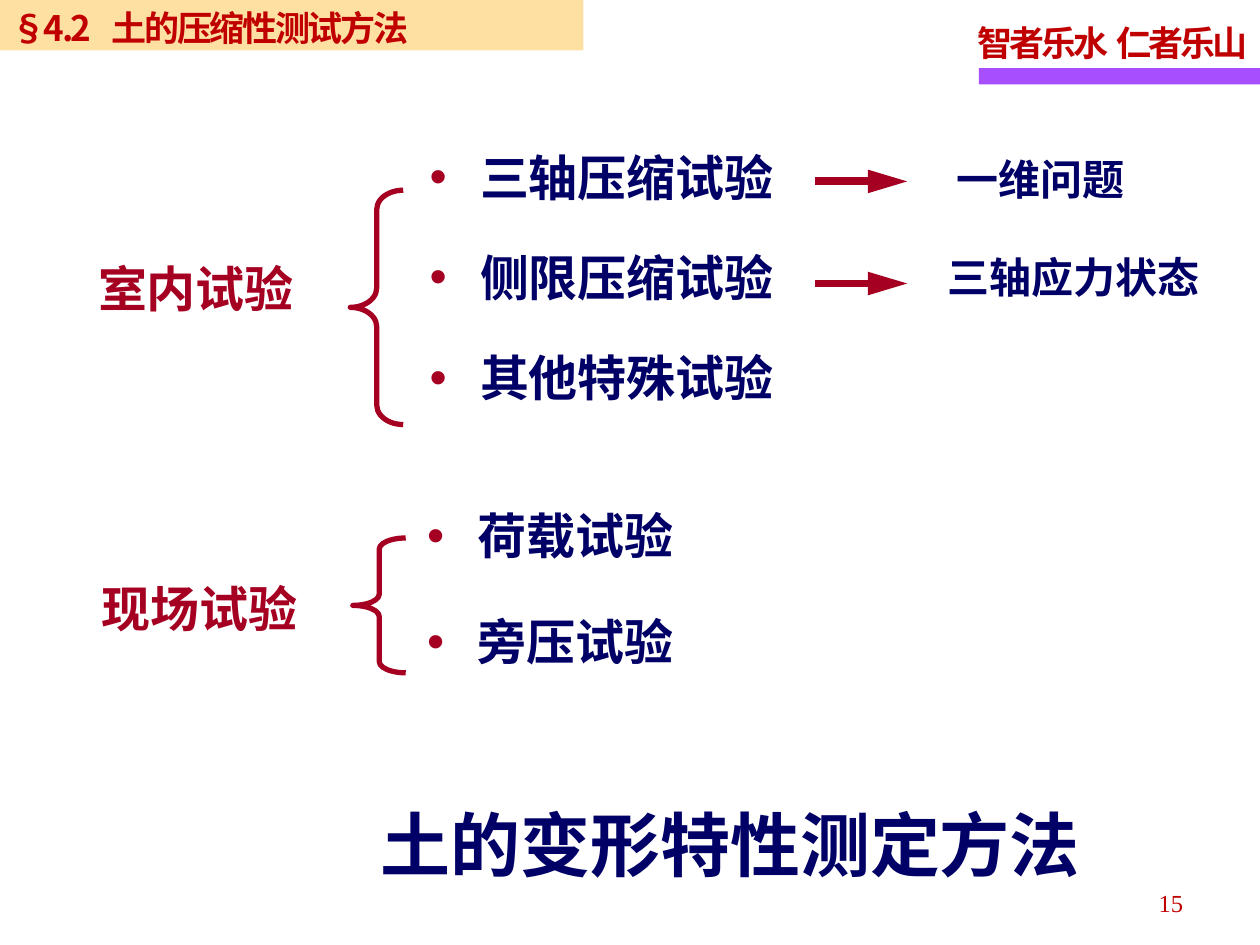
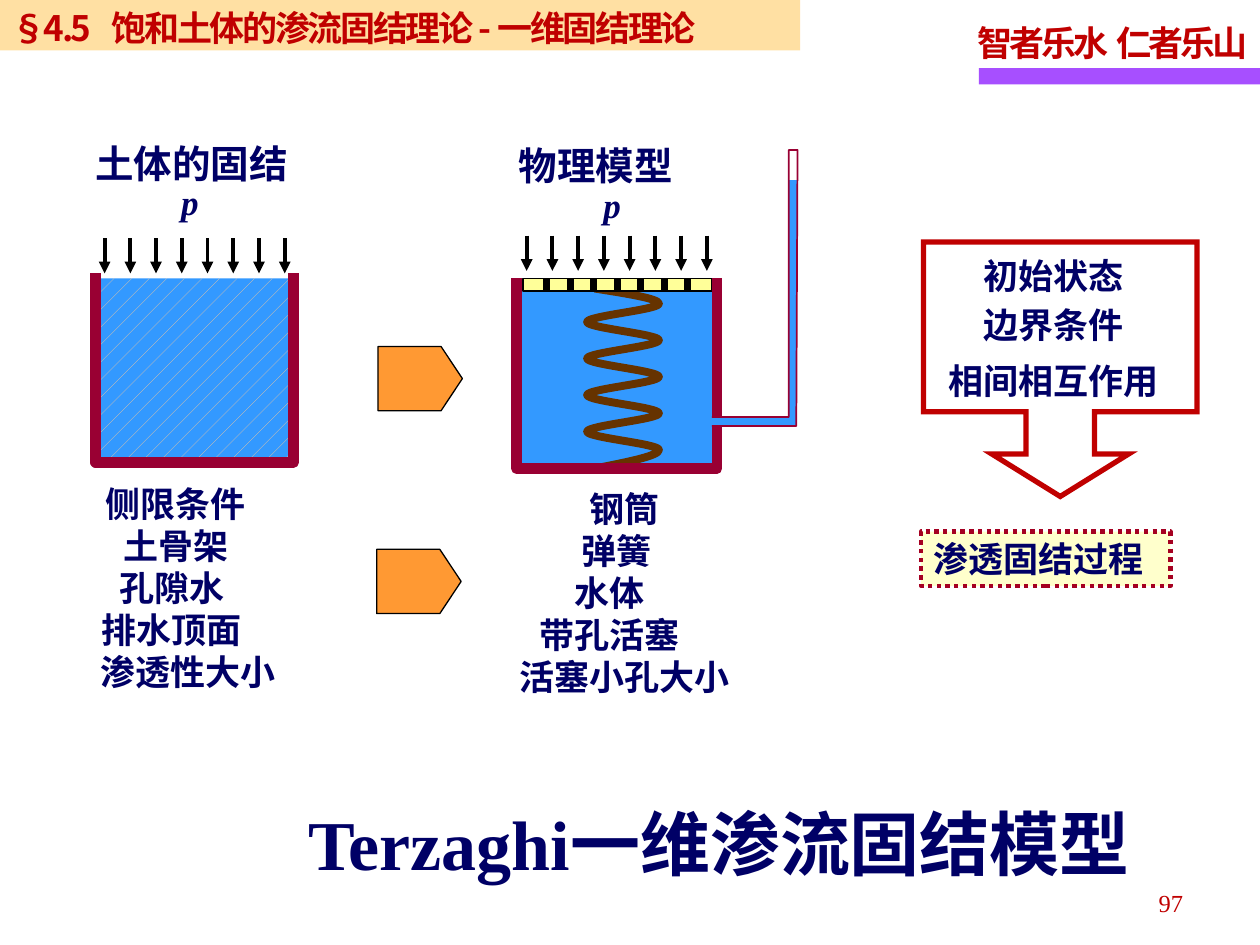
"""Build two soil mechanics slides: test methods and the Terzaghi consolidation model."""
import lxml.etree
import pptx
import pptx.dml.color
import pptx.enum.dml
import pptx.enum.shapes
import pptx.enum.text
import pptx.oxml.ns
import pptx.util

Inches = pptx.util.Inches
Pt = pptx.util.Pt
SHAPE = pptx.enum.shapes.MSO_SHAPE
ALIGN = pptx.enum.text.PP_ALIGN
qn = pptx.oxml.ns.qn

COLORS = {
    "navy": "000066", "crimson": "A50021", "red": "C00000", "purple": "A74FFF",
    "band": "FFCC66", "cream": "FFFFCC", "piston": "FFFF99", "water": "3399FF",
    "grain": "FFCC99", "wall": "990033", "spring": "663300", "orange": "FF9933",
    "black": "000000",
}
SERIF = "Times New Roman"
SANS = "Noto Sans CJK SC"
LINE_HEIGHT = 1.2


def rgb(name):
    return pptx.dml.color.RGBColor.from_string(COLORS[name])


def add_xml(parent, tag, **attrs):
    return lxml.etree.SubElement(parent, qn(tag), **attrs)


def box(left, top, width, height):
    return [Inches(v) for v in (left, top, width, height)]


def place(sp, at):
    sp.left, sp.top, sp.width, sp.height = box(*at)


def setup_frame(tf, inset=True, wrap=True):
    tf.word_wrap = wrap
    tf.auto_size = pptx.enum.text.MSO_AUTO_SIZE.NONE
    tf.vertical_anchor = pptx.enum.text.MSO_ANCHOR.TOP
    tf.margin_left = tf.margin_right = Inches(0.1 if inset else 0)
    tf.margin_top = tf.margin_bottom = Inches(0.05 if inset else 0)


def format_paragraph(p, size, color="navy", font=SERIF, bold=True, italic=False,
                     align=ALIGN.LEFT, spacing=0, pitch=None):
    p.alignment = align
    p.line_spacing = Pt(pitch or size * LINE_HEIGHT)
    p.space_before = p.space_after = Pt(0)
    for r in p.runs:
        r.font.size, r.font.name = Pt(size), font
        r.font.bold, r.font.italic = bold, italic
        r.font.color.rgb = rgb(color)
        if spacing:
            r._r.get_or_add_rPr().set("spc", str(round(spacing * 100)))


def add_tab(p, position):
    tabs = add_xml(p._p.get_or_add_pPr(), "a:tabLst")
    add_xml(tabs, "a:tab", pos=str(Inches(position)), algn="l")


def add_text(s, text, at, size, inset=True, wrap=True, **style):
    sp = s.shapes.add_textbox(*box(*at))
    setup_frame(sp.text_frame, inset, wrap)
    sp.text_frame.text = text
    format_paragraph(sp.text_frame.paragraphs[0], size, **style)
    return sp


def style_line(line, color, width):
    line.color.rgb = rgb(color)
    line.width = Pt(width)


def style_shape(sp, fill=None, line=None, width=1):
    sp.shadow.inherit = False
    if fill:
        sp.fill.solid()
        sp.fill.fore_color.rgb = rgb(fill)
    else:
        sp.fill.background()
    if line:
        style_line(sp.line, line, width)
    else:
        sp.line.fill.background()


def add_shape(s, kind, at, fill=None, line=None, width=1, adjust=()):
    sp = s.shapes.add_shape(kind, *box(*at))
    for i, value in enumerate(adjust):
        sp.adjustments[i] = value
    style_shape(sp, fill, line, width)
    return sp


def add_labelled_rect(s, text, at, size, fill, line=None, width=1, **style):
    sp = add_shape(s, SHAPE.RECTANGLE, at, fill, line, width)
    setup_frame(sp.text_frame)
    sp.text_frame.text = text
    format_paragraph(sp.text_frame.paragraphs[0], size, **style)
    return sp


def add_line(s, start, end, color, width, head=None):
    c = s.shapes.add_connector(pptx.enum.shapes.MSO_CONNECTOR.STRAIGHT,
                               *[Inches(v) for v in (*start, *end)])
    style_line(c.line, color, width)
    if head:
        add_xml(c.line._get_or_add_ln(), "a:tailEnd", type="triangle", len=head)
    add_xml(c._element.spPr, "a:effectLst")


def add_path(s, points, close=False, fill=None, line=None, width=1):
    points = [(Inches(x), Inches(y)) for x, y in points]
    builder = s.shapes.build_freeform(*points[0])
    builder.add_line_segments(points[1:], close=close)
    sp = builder.convert_to_shape()
    style_shape(sp, fill, line, width)
    return sp


def add_master_parts(prs, s):
    stripe = add_shape(s, SHAPE.RECTANGLE, (7.77, 0.54, 2.23, 0.13), "purple")
    motto = add_text(s, "智者乐水\t仁者乐山", (7.66, 0.12, 2.36, 0.45), 20, wrap=False,
                     color="red", spacing=-1.7)
    add_tab(motto.text_frame.paragraphs[0], 1.1)
    for i, sp in enumerate((stripe, motto)):
        sp.element.nvSpPr.cNvPr.set("id", str(20 + i))
        prs.slide_layouts[3].shapes.element.append(sp.element)


def add_frame(s, header, header_width, title, title_at, number):
    band = add_labelled_rect(s, header, (-0.01, 0, header_width, 0.4), 20, "band",
                             color="red", font=SANS, spacing=-1.4)
    add_xml(band.element.spPr.find(".//" + qn("a:srgbClr")), "a:alpha", val="60000")
    add_tab(band.text_frame.paragraphs[0], 0.8)
    add_text(s, number, (7.16, 7, 2.33, 0.4), 14, color="red", bold=False,
             align=ALIGN.RIGHT)
    place(s.shapes.title, title_at)
    setup_frame(s.shapes.title.text_frame)
    s.shapes.title.text_frame.text = title
    format_paragraph(s.shapes.title.text_frame.paragraphs[0], 40)


def fill_list(sp, items, at, inset):
    place(sp, at)
    setup_frame(sp.text_frame, inset)
    sp.text_frame.text = "\n".join(items)
    return sp.text_frame.paragraphs


def add_bullets(sp, items, at, pitch):
    for i, p in enumerate(fill_list(sp, items, at, False)):
        pPr = p._p.get_or_add_pPr()
        pPr.set("marL", str(Inches(0.4)))
        pPr.set("indent", str(Inches(-0.4)))
        add_xml(add_xml(pPr, "a:buClr"), "a:srgbClr", val=COLORS["crimson"])
        add_xml(pPr, "a:buChar", char="•")
        format_paragraph(p, 28, pitch=pitch)
        p.space_before = Pt(pitch if i else 0)


def add_centred_list(sp, items, at):
    paragraphs = fill_list(sp, [text for text, indent in items], at, True)
    for p, (text, indent) in zip(paragraphs, items):
        pPr = p._p.get_or_add_pPr()
        pPr.set("marL", str(Inches(indent)))
        pPr.set("indent", "0")
        add_xml(pPr, "a:buNone")
        format_paragraph(p, 20, font=SANS, align=ALIGN.CENTER)


def add_load(s, left, top, label_at):
    add_text(s, "p", (*label_at, 0.37, 0.43), 20, italic=True)
    for i in range(8):
        x = left + i * 1.43 / 7
        add_line(s, (x, top), (x, top + 0.28), "black", 2.25, head="med")


def add_container(s, left, top, right, bottom):
    add_path(s, [(left, top), (left, bottom), (right, bottom), (right, top)],
             line="wall", width=6)


def add_soil(s):
    sp = add_shape(s, SHAPE.RECTANGLE, (0.77, 2.21, 1.55, 1.47))
    sp.fill.patterned()
    sp.fill.pattern = pptx.enum.dml.MSO_PATTERN.PERCENT_5
    sp.fill.fore_color.rgb = rgb("grain")
    sp.fill.back_color.rgb = rgb("water")
    add_container(s, 0.76, 2.17, 2.33, 3.67)
    add_load(s, 0.83, 1.89, (1.34, 1.38))
    add_text(s, "土体的固结", (0.66, 1.06, 1.74, 0.47), 22)


def curve_segments(sp):
    """Turn each straight segment into an S-curve with vertical tangents."""
    start, *ends = sp.element.findall(".//" + qn("a:pt"))
    x0, y0 = int(start.get("x")), int(start.get("y"))
    for i, end in enumerate(ends):
        x1, y1 = int(end.get("x")), int(end.get("y"))
        third, middle = (y1 - y0) // 3, (x0 + x1) // 2
        leave = middle if i == 0 else x0
        arrive = middle if i == len(ends) - 1 else x1
        segment = end.getparent()
        curve = lxml.etree.Element(qn("a:cubicBezTo"))
        for x, y in ((leave, y0 + third), (arrive, y1 - third), (x1, y1)):
            add_xml(curve, "a:pt", x=str(x), y=str(y))
        segment.getparent().replace(segment, curve)
        x0, y0 = x1, y1


def add_spring(s):
    turns = [(4.66 if i % 2 else 5.23, 2.41 + i * 0.145) for i in range(9)]
    sp = add_path(s, [(4.72, 2.29), *turns, (4.76, 3.71)], line="spring", width=4.5)
    curve_segments(sp)


def add_piston(s):
    add_shape(s, SHAPE.RECTANGLE, (4.15, 2.21, 1.5, 0.1), "piston", "black")
    for i in range(7):
        x = 4.34 + i * 1.12 / 6
        add_line(s, (x, 2.21), (x, 2.31), "black", 4)


def pipe_points(top):
    return [(5.65, 3.31), (6.26, 3.31), (6.26, top), (6.33, top), (6.32, 3.38), (5.65, 3.38)]


def add_model(s):
    add_shape(s, SHAPE.RECTANGLE, (4.12, 2.25, 1.56, 1.47), "water")
    add_text(s, "物理模型", (4.02, 1.08, 1.88, 0.47), 22, font=SANS)
    add_load(s, 4.18, 1.87, (4.69, 1.41))
    add_spring(s)
    add_piston(s)
    add_container(s, 4.1, 2.21, 5.69, 3.72)
    add_path(s, pipe_points(1.43), close=True, fill="water")
    add_path(s, pipe_points(1.19), line="wall")


def add_conditions(s):
    sp = add_shape(s, SHAPE.DOWN_ARROW_CALLOUT, (7.33, 1.92, 2.17, 2.02), None, "red", 3,
                   (0.269, 0.269, 0.167, 0.667))
    add_xml(sp.line._get_or_add_ln(), "a:miter", lim="800000")
    add_text(s, "初始状态", (7.71, 1.97, 1.49, 0.43), 20)
    add_text(s, "边界条件", (7.71, 2.36, 1.53, 0.43), 20)
    add_text(s, "相间相互作用", (7.45, 2.85, 1.82, 0.33), 20, inset=False, font=SANS,
             align=ALIGN.CENTER)
    sp = add_labelled_rect(s, "渗透固结过程", (7.31, 4.22, 1.98, 0.43), 20, "cream",
                           "crimson", 2.5)
    sp.line.dash_style = pptx.enum.dml.MSO_LINE.ROUND_DOT


def build_test_methods(s):
    add_frame(s, "§4.2\t土的压缩性测试方法", 4.64, "土的变形特性测定方法",
              (2.92, 6.31, 5.77, 0.77), "15")
    add_bullets(s.placeholders[1], ["三轴压缩试验", "侧限压缩试验", "其他特殊试验"],
                (3.41, 1.24, 3.08, 2.34), 28.6)
    add_bullets(s.placeholders[2], ["荷载试验", "旁压试验"], (3.39, 4.06, 2.47, 1.4), 30.3)
    groups = [("室内试验", (0.68, 2, 1.76, 0.57), (2.78, 1.51, 0.42, 1.86), 0.365),
              ("现场试验", (0.71, 4.54, 1.76, 0.57), (2.8, 4.27, 0.42, 1.07), 0.211)]
    for name, name_at, brace_at, curve in groups:
        add_text(s, name, name_at, 28, color="crimson")
        add_shape(s, SHAPE.LEFT_BRACE, brace_at, None, "crimson", 3, (curve, 0.5))
    for y in (1.44, 2.25):
        add_line(s, (6.47, y), (7.2, y), "crimson", 4.5, head="lg")
    add_text(s, "一维问题", (7.49, 1.17, 1.54, 0.5), 24)
    add_text(s, "三轴应力状态", (7.52, 2, 2.23, 0.4), 24, inset=False, font=SANS)


def build_consolidation_model(s):
    add_frame(s, "§4.5\t饱和土体的渗流固结理论 - 一维固结理论", 6.36,
              "Terzaghi一维渗流固结模型", (2.35, 6.3, 6.9, 0.77), "97")
    add_centred_list(s.placeholders[1],
                     [("侧限条件", 0.06), ("土骨架", 0.06), ("孔隙水", 0),
                      ("排水顶面", 0), ("渗透性大小", 0.25)], (0.29, 3.78, 2.15, 1.77))
    add_centred_list(s.placeholders[2],
                     [("钢筒", 0.25), ("弹簧", 0.12), ("水体", 0),
                      ("带孔活塞", 0), ("活塞小孔大小", 0.25)], (3.72, 3.82, 2.23, 1.77))
    add_soil(s)
    add_model(s)
    for left, top in ((3, 2.75), (2.99, 4.36)):
        add_shape(s, SHAPE.PENTAGON, (left, top, 0.67, 0.51), "orange", "black", 0.75, (0.332,))
    add_conditions(s)


def main():
    prs = pptx.Presentation()
    prs.slide_width, prs.slide_height = Inches(10), Inches(7.5)
    methods, model = [prs.slides.add_slide(prs.slide_layouts[3]) for _ in range(2)]
    add_master_parts(prs, methods)
    build_test_methods(methods)
    build_consolidation_model(model)
    prs.save("out.pptx")


if __name__ == "__main__":
    main()
